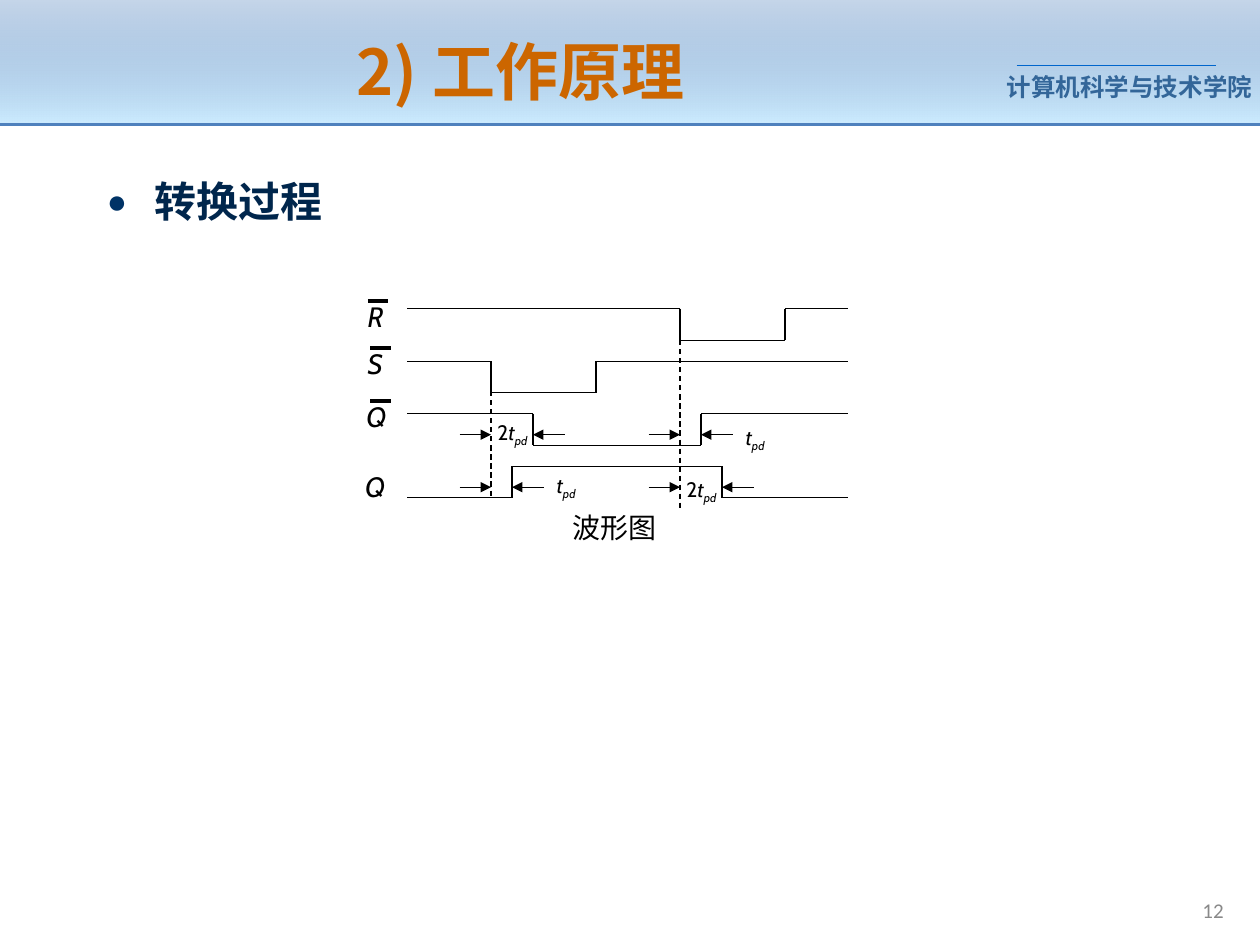
from dataclasses import dataclass

import lxml.etree
import pptx
import pptx.dml.color
import pptx.enum.dml
import pptx.enum.shapes
import pptx.enum.text
import pptx.oxml.ns
import pptx.util

Pt = pptx.util.Pt
qn = pptx.oxml.ns.qn
Align = pptx.enum.text.PP_ALIGN
Anchor = pptx.enum.text.MSO_ANCHOR


@dataclass(frozen=True)
class Theme:
    black: str = "000000"
    title: str = "CC6600"
    body: str = "00264C"
    bullet: str = "003366"
    college: str = "336699"
    college_rule: str = "0066CC"
    header: str = "4F81BD"
    header_end: str = "CCECFF"
    number: str = "898989"
    title_size: int = 36
    body_size: int = 24
    signal_size: int = 16
    college_size: int = 14
    small_size: int = 12
    heading_font: str = "Noto Sans CJK SC"
    college_font: str = "Arial"
    number_font: str = "Calibri"
    diagram_font: str = "Cabin"


def rgb(color):
    return pptx.dml.color.RGBColor.from_string(color)


def add_element(parent, tag, **attributes):
    return lxml.etree.SubElement(parent, qn(tag), **attributes)


class SlideBuilder:
    def __init__(self, presentation, theme):
        self.theme = theme
        self.slide = presentation.slides.add_slide(presentation.slide_layouts[5])
        self.shapes = self.slide.shapes

    def start_group(self):
        """Send all later elements into a new group."""
        self.shapes = self.slide.shapes.add_group_shape().shapes

    def format_paragraph(self, paragraph, size, font_name, color, bold=False):
        font = paragraph.font
        font.size, font.name, font.bold = Pt(size), font_name, bold
        font.color.rgb = rgb(color)
        add_element(paragraph._p.pPr.find(qn("a:defRPr")), "a:ea", typeface=font_name)

    def title(self, text, left, top, width, height):
        """Fill the title placeholder and bring it in front of the header band."""
        title = self.slide.shapes.title
        self.slide.shapes._spTree.append(title._element)
        title.left, title.top = Pt(left), Pt(top)
        title.width, title.height = Pt(width), Pt(height)
        title.text_frame.text = text
        title.text_frame.vertical_anchor = Anchor.MIDDLE
        paragraph = title.text_frame.paragraphs[0]
        paragraph.alignment = Align.CENTER
        theme = self.theme
        self.format_paragraph(paragraph, theme.title_size, theme.heading_font, theme.title, True)

    def band(self, left, top, width, height):
        shape = self.shapes.add_shape(
            pptx.enum.shapes.MSO_SHAPE.RECTANGLE, Pt(left), Pt(top), Pt(width), Pt(height))
        shape.shadow.inherit = False
        shape.line.fill.background()
        shape.fill.gradient()
        shape.fill.gradient_angle = 270
        start, end = shape.fill.gradient_stops
        start.color.rgb, end.color.rgb = rgb(self.theme.header), rgb(self.theme.header_end)
        start.position, end.position = 0, 1
        first_color = next(shape._element.iter(qn("a:srgbClr")))
        add_element(first_color, "a:alpha", val="32000")

    def line(self, start, end, color=None, weight=0.75, dashed=False, arrow=False):
        connector = self.shapes.add_connector(
            pptx.enum.shapes.MSO_CONNECTOR.STRAIGHT,
            *(Pt(value) for value in (*start, *end)))
        connector.line.color.rgb = rgb(color or self.theme.black)
        connector.line.width = Pt(weight)
        if dashed:
            connector.line.dash_style = pptx.enum.dml.MSO_LINE.DASH
        if arrow:
            add_element(connector.line._get_or_add_ln(), "a:tailEnd", type="triangle")
        add_element(connector._element.spPr, "a:effectLst")

    def waveform(self, points):
        for start, end in zip(points, points[1:]):
            self.line(start, end)

    def text(self, parts, left, top, width, height, size, font_name, color, bold=False,
             wrap=True, align=Align.LEFT, anchor=Anchor.TOP, side_inset=7.2, bullet=None):
        """Add a text box; parts are (text, italic, subscript) triples."""
        box = self.shapes.add_textbox(Pt(left), Pt(top), Pt(width), Pt(height))
        frame = box.text_frame
        frame.word_wrap = wrap
        frame.vertical_anchor = anchor
        frame.margin_left = frame.margin_right = Pt(side_inset)
        paragraph = frame.paragraphs[0]
        paragraph.alignment = align
        for content, italic, subscript in parts:
            run = paragraph.add_run()
            run.text = content
            run.font.italic = italic
            if subscript:
                run._r.get_or_add_rPr().set("baseline", "-25000")
        if bullet:
            self.bullet(paragraph, bullet)
        self.format_paragraph(paragraph, size, font_name, color, bold)

    def bullet(self, paragraph, character):
        paragraph.line_spacing = 0.9
        properties = paragraph._p.get_or_add_pPr()
        properties.set("marL", str(Pt(27)))
        properties.set("indent", str(Pt(-27)))
        color = add_element(properties, "a:buClr")
        add_element(color, "a:srgbClr", val=self.theme.bullet)
        add_element(properties, "a:buSzPct", val="80000")
        add_element(properties, "a:buFont", typeface=self.theme.college_font)
        add_element(properties, "a:buChar", char=character)

    def diagram_text(self, parts, left, top, width, height, size):
        self.text(parts, left, top, width, height, size,
                  self.theme.diagram_font, self.theme.black, wrap=False)


def plain(text):
    return [(text, False, False)]


def grid(column, row):
    """Point of the timing diagram, whose grid step is 6 points."""
    return 232.6 + 6 * column, 176.4 + 6 * row


def add_header(builder):
    theme = builder.theme
    builder.band(0, 0, 720, 71.3)
    builder.text(plain("计算机科学与技术学院"), 575.3, 37.4, 141.8, 24.5, theme.college_size,
                 theme.college_font, theme.college, bold=True, side_inset=0)
    builder.line((581, 37.4), (694.8, 37.4), theme.college_rule)
    builder.line((0, 71.3), (720, 71.3), theme.header, 1.5)


def add_timing_diagram(builder):
    theme = builder.theme
    builder.start_group()

    end = 42
    # High row, starting level (0 high, 3 low) and switching columns of R, S, inverted Q, Q
    for row, level, switches in [(0, 0, (26, 36)), (5, 0, (8, 18)),
                                 (10, 0, (12, 28)), (15, 3, (10, 30))]:
        points = [grid(0, row + level)]
        for column in switches:
            points.append(grid(column, row + level))
            level = 3 - level
            points.append(grid(column, row + level))
        builder.waveform(points + [grid(end, row + level)])

    for column, top, bottom in [(8, 7, 18), (26, 3, 19)]:
        builder.line(grid(column, top), grid(column, bottom), dashed=True)

    for row, first, last in [(12, 8, 12), (17, 8, 10), (12, 26, 28), (17, 26, 30)]:
        builder.line(grid(first - 3, row), grid(first, row), arrow=True)
        builder.line(grid(last + 3, row), grid(last, row), arrow=True)

    delay = [("t", True, False), ("pd", True, True)]
    double_delay = plain("2") + delay
    for parts, left, top, width in [(double_delay, 277.2, 236.2, 33.1), (delay, 311, 266.4, 25.9),
                                    (delay, 419, 239, 25.9), (double_delay, 385.2, 268.6, 33.1)]:
        builder.diagram_text(parts, left, top, width, 23.8, theme.small_size)

    for name, left, top, width, bar_left in [("R", 203, 167.8, 23, 210.2), ("S", 203, 194.4, 22.3, 211.7),
                                             ("Q", 202.3, 224.6, 25.9, 211.7), ("Q", 201.6, 265, 25.9, None)]:
        builder.diagram_text([(name, True, False)], left, top, width, 26.6, theme.signal_size)
        if bar_left:
            builder.line((bar_left, top + 4.3), (bar_left + 11.8, top + 4.3), weight=2.25)

    builder.diagram_text(plain("波形图"), 320, 288, 66, 26.6, theme.signal_size)


def main():
    presentation = pptx.Presentation()
    presentation.slide_width, presentation.slide_height = Pt(720), Pt(540)
    theme = Theme()
    builder = SlideBuilder(presentation, theme)
    add_header(builder)
    builder.text(plain("12"), 547.2, 508.3, 159.1, 23, theme.small_size, theme.number_font,
                 theme.number, align=Align.RIGHT, anchor=Anchor.MIDDLE)
    builder.title("2) 工作原理", 36.7, 15.1, 521.3, 50.4)
    builder.text(plain("转换过程"), 54, 100.1, 640.8, 33.1, theme.body_size,
                 theme.heading_font, theme.body, bold=True, bullet="●")
    add_timing_diagram(builder)
    presentation.save("out.pptx")


if __name__ == "__main__":
    main()
